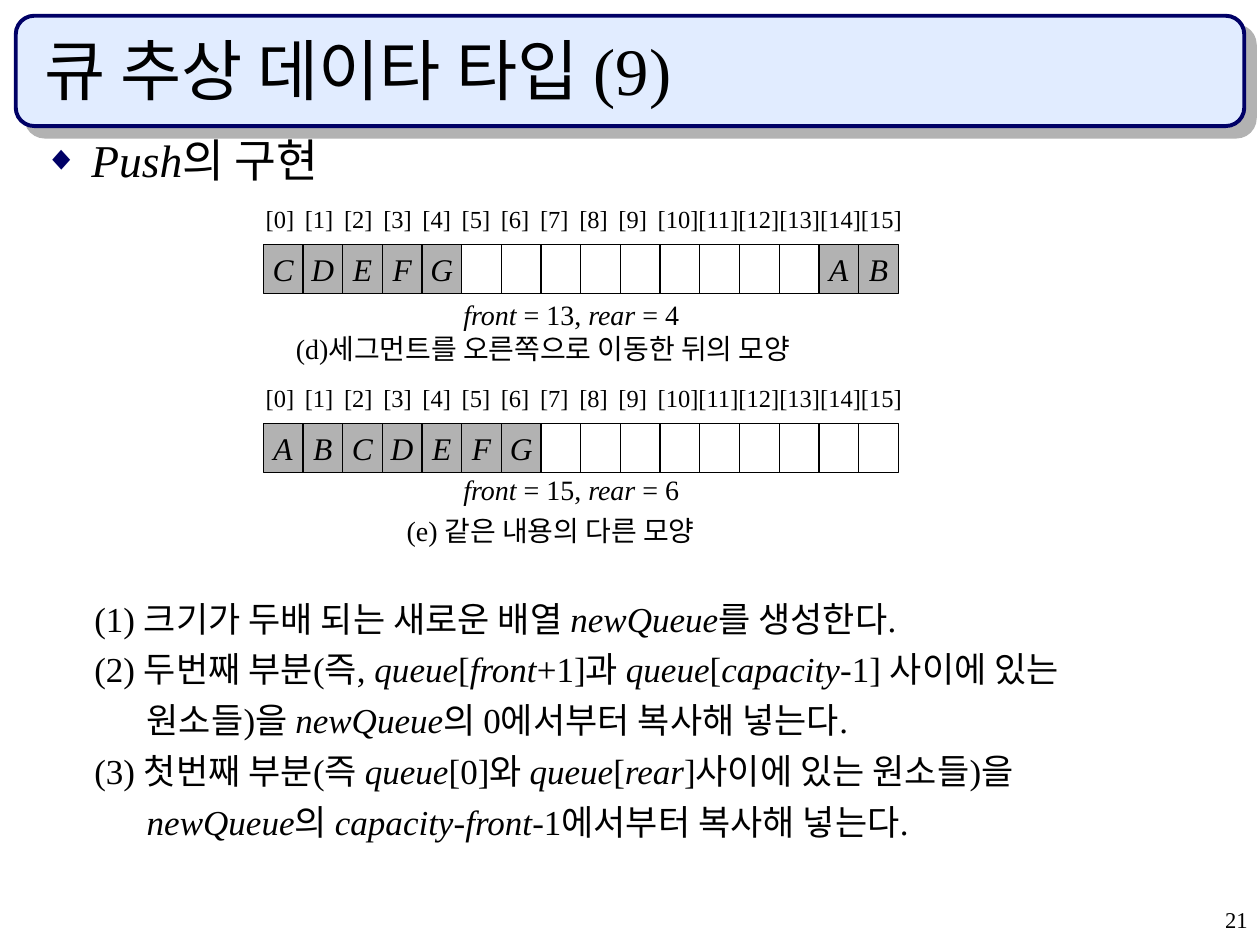
from lxml import etree
from pptx import Presentation
from pptx.dml.color import RGBColor
from pptx.enum.shapes import MSO_SHAPE
from pptx.enum.text import MSO_ANCHOR, MSO_AUTO_SIZE, PP_ALIGN
from pptx.oxml.ns import qn
from pptx.util import Pt

RECT, ROUNDED = MSO_SHAPE.RECTANGLE, MSO_SHAPE.ROUNDED_RECTANGLE
TOP, MIDDLE, BOTTOM = MSO_ANCHOR.TOP, MSO_ANCHOR.MIDDLE, MSO_ANCHOR.BOTTOM
LEFT, CENTER, RIGHT = PP_ALIGN.LEFT, PP_ALIGN.CENTER, PP_ALIGN.RIGHT
NO_AUTOFIT = MSO_AUTO_SIZE.NONE
FONT = "Times New Roman"
BLACK, NAVY, PALE, GRAY = "000000", "000066", "E1ECFF", "B2B2B2"
CELL_W, CELL_H = 22.68, 28.08
INDEX_PITCH = 22.4
INDEX_LABELS = "\t".join(f"[{i}]" for i in range(10)) + "\t" + "".join(
    f"[{i}]" for i in range(10, 16))


def color(value):
    """Return the colour of a hex string."""
    return RGBColor.from_string(value)


def add_xml(parent, tag, **attrs):
    """Append a DrawingML element and return it."""
    return etree.SubElement(parent, qn(tag), attrs)


def write(p, text, size, align=LEFT):
    """Fill a paragraph, with the parts between asterisks in italics."""
    p.alignment = align
    for i, part in enumerate(text.split("*")):
        if part:
            r = p.add_run()
            r.text = part
            r.font.name = FONT
            r.font.size = Pt(size)
            r.font.italic = i % 2 == 1
            r.font.color.rgb = color(BLACK)


def indent(p, left, first):
    """Set the left margin and first-line indent of a paragraph."""
    pPr = p._p.get_or_add_pPr()
    pPr.set("marL", str(Pt(left)))
    pPr.set("indent", str(Pt(first)))
    return pPr


def add_text(s, box, text, size, align=LEFT):
    """Add a one-paragraph text box and return its paragraph."""
    tf = s.shapes.add_textbox(*map(Pt, box)).text_frame
    tf.word_wrap = True
    p = tf.paragraphs[0]
    write(p, text, size, align)
    return p


def add_box(s, kind, box, fill, line, width):
    """Add an outlined shape, filled when a fill is given."""
    sp = s.shapes.add_shape(kind, *map(Pt, box))
    sp.line.color.rgb = color(line)
    sp.line.width = Pt(width)
    sp.shadow.inherit = False
    if fill:
        sp.fill.solid()
        sp.fill.fore_color.rgb = color(fill)
    else:
        sp.fill.background()
    return sp


def add_banner(s, box):
    """Put the shadowed title banner behind everything."""
    sp = add_box(s, ROUNDED, box, PALE, NAVY, 2.25)
    effects = sp.element.spPr.find(qn("a:effectLst"))
    shadow = add_xml(effects, "a:outerShdw", dist=str(Pt(8.5)), dir="2700000",
                     algn="ctr", rotWithShape="0")
    add_xml(shadow, "a:srgbClr", val=GRAY)
    s.shapes.element.insert(2, sp.element)


def fill_placeholder(sp, box, text, size, anchor):
    """Move a placeholder, write its text and return the paragraph."""
    sp.left, sp.top, sp.width, sp.height = map(Pt, box)
    tf = sp.text_frame
    tf.auto_size = NO_AUTOFIT
    tf.vertical_anchor = anchor
    p = tf.paragraphs[0]
    write(p, text, size)
    return p


def add_heading(s, box, text):
    """Write the bulleted heading in the body placeholder."""
    p = fill_placeholder(s.placeholders[1], box, text, 26, TOP)
    pPr = indent(p, 27, -27)
    add_xml(add_xml(pPr, "a:buClr"), "a:srgbClr", val=NAVY)
    add_xml(pPr, "a:buSzPct", val="75000")
    add_xml(pPr, "a:buChar", char="◆")
    p.line_spacing = 0.8
    p.space_before = Pt(0)


def add_queue(s, x, y, cells, state, state_dy, caption, caption_dx, caption_dy):
    """Draw a queue array with its indices, state and caption."""
    p = add_text(s, (x, y, 420, 24.5), INDEX_LABELS, 14)
    tabs = add_xml(p._p.get_or_add_pPr(), "a:tabLst")
    for i in range(1, 11):
        add_xml(tabs, "a:tab", pos=str(Pt(i * INDEX_PITCH)), algn="l")
    for i, letter in enumerate(cells):
        used = letter != "."
        box = (x + 5.76 + i * CELL_W, y + 26.6, CELL_W, CELL_H)
        sp = add_box(s, RECT, box, GRAY if used else None, BLACK, 0.75)
        if used:
            tf = sp.text_frame
            tf.word_wrap = False
            tf.vertical_anchor = MIDDLE
            write(tf.paragraphs[0], f"*{letter}*", 18, CENTER)
    add_text(s, (x + 113, y + state_dy, 170, 26.6), state, 16)
    add_text(s, (x + caption_dx, y + caption_dy, 354, 26.6), caption, 16)


def add_steps(s, box, steps):
    """List the numbered steps, with their continuation lines indented."""
    tf = s.shapes.add_textbox(*map(Pt, box)).text_frame
    tf.word_wrap = True
    for i, text in enumerate(steps):
        p = tf.add_paragraph() if i else tf.paragraphs[0]
        write(p, text, 20)
        indent(p, 66, -30 if text.startswith("(") else 0)
        if i:
            p.space_before = Pt(5)


def main():
    """Build the slide and save it."""
    prs = Presentation()
    prs.slide_width, prs.slide_height = Pt(720), Pt(540)
    s = prs.slides.add_slide(prs.slide_layouts[1])
    add_banner(s, (9, 9, 702, 63))
    fill_placeholder(s.shapes.title, (18, 18, 678, 48),
                     "큐 추상 데이타 타입 (9)", 38, BOTTOM)
    add_heading(s, (18, 78, 678, 39), "*Push*의 구현")
    add_queue(s, 144.7, 113, "CDEFG.........AB", "*front* = 13, *rear* = 4", 53.3,
              "(d)세그먼트를 오른쪽으로 이동한 뒤의 모양", 17.3, 72.7)
    add_queue(s, 144.7, 215.3, "ABCDEFG.........", "*front *= 15, *rear* = 6", 51.1,
              "(e) 같은 내용의 다른 모양", 80.6, 74.9)
    add_steps(s, (10.8, 337.7, 678, 170), [
        "(1) 크기가 두배 되는 새로운 배열 *newQueue*를 생성한다.",
        "(2) 두번째 부분(즉, *queue*[*front*+1]과 *queue*[*capacity*-1] 사이에 있는",
        "원소들)을 *newQueue*의 0에서부터 복사해 넣는다.",
        "(3) 첫번째 부분(즉 *queue*[0]와 *queue*[*rear*]사이에 있는 원소들)을",
        "*newQueue*의 *capacity*-*front*-1에서부터 복사해 넣는다.",
    ])
    p = add_text(s, (570, 516, 150, 24), "21", 12.9, RIGHT)
    p.line_spacing = 0.9
    prs.save("out.pptx")


if __name__ == "__main__":
    main()
